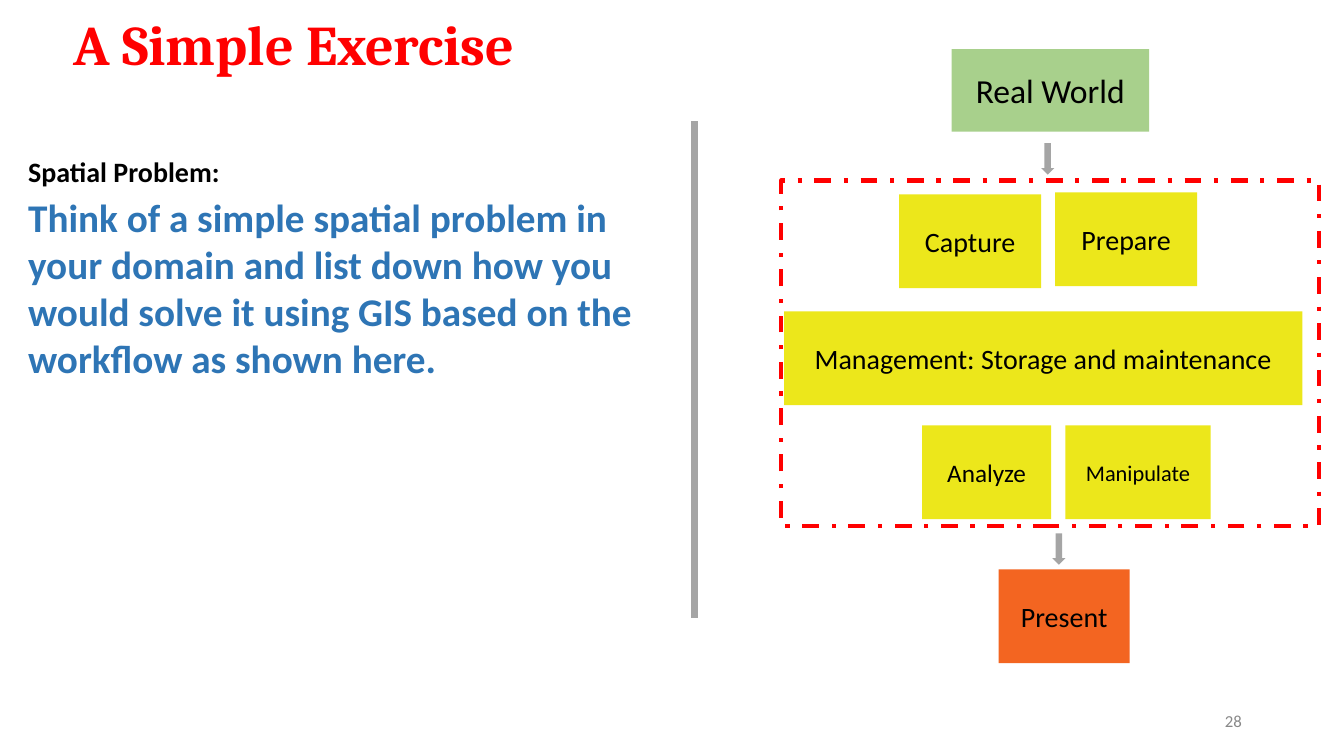
from lxml import etree
from pptx import Presentation
from pptx.dml.color import RGBColor
from pptx.enum.dml import MSO_LINE
from pptx.enum.shapes import MSO_CONNECTOR, MSO_SHAPE
from pptx.enum.text import MSO_ANCHOR, PP_ALIGN
from pptx.oxml.ns import qn
from pptx.util import Cm, Pt

RECT, DOWN_ARROW = MSO_SHAPE.RECTANGLE, MSO_SHAPE.DOWN_ARROW
STRAIGHT = MSO_CONNECTOR.STRAIGHT
DASH_DOT = MSO_LINE.DASH_DOT
LEFT, CENTER, RIGHT = PP_ALIGN.LEFT, PP_ALIGN.CENTER, PP_ALIGN.RIGHT
TOP, MIDDLE = MSO_ANCHOR.TOP, MSO_ANCHOR.MIDDLE

BLACK, RED, GRAY, PAGE_GRAY = "000000", "FF0000", "A5A5A5", "888888"
GREEN, YELLOW, ORANGE, BLUE = "A8D08C", "ECE71B", "F36521", "2E75B5"
STEP_H = 2.36


def rgb(value):
    return RGBColor.from_string(value)


class Deck:
    font = "Calibri"

    def __init__(self, width, height):
        self.prs = Presentation()
        self.prs.slide_width, self.prs.slide_height = Cm(width), Cm(height)
        self.s = self.prs.slides.add_slide(self.prs.slide_layouts[6])

    def add_label(self, sp, text, size, color=BLACK, bold=False, align=LEFT,
                  anchor=TOP, font=None, spacing=None):
        tf = sp.text_frame
        tf.word_wrap = True
        tf.vertical_anchor = anchor
        p = tf.paragraphs[0]
        p.alignment = align
        if spacing:
            p.line_spacing = spacing
        r = p.add_run()
        r.text = text
        r.font.name = font or self.font
        r.font.size = Pt(size)
        r.font.bold = bold
        r.font.color.rgb = rgb(color)

    def text(self, x, y, w, h, text, size, **style):
        sp = self.s.shapes.add_textbox(Cm(x), Cm(y), Cm(w), Cm(h))
        self.add_label(sp, text, size, **style)

    def shape(self, kind, x, y, w, h, fill):
        sp = self.s.shapes.add_shape(kind, Cm(x), Cm(y), Cm(w), Cm(h))
        sp.shadow.inherit = False
        sp.fill.solid()
        sp.fill.fore_color.rgb = rgb(fill)
        sp.line.fill.background()
        return sp

    def box(self, x, y, w, h, fill, text, size):
        sp = self.shape(RECT, x, y, w, h, fill)
        self.add_label(sp, text, size, align=CENTER, anchor=MIDDLE)

    def arrow(self, x, y):
        self.shape(DOWN_ARROW, x, y, 0.33, 0.79, GRAY)

    def frame(self, x, y, w, h, color, width):
        sp = self.shape(RECT, x, y, w, h, color)
        sp.fill.background()
        sp.line.color.rgb = rgb(color)
        sp.line.width = Pt(width)
        sp.line.dash_style = DASH_DOT

    def line(self, x1, y1, x2, y2, color, width):
        cn = self.s.shapes.add_connector(STRAIGHT, Cm(x1), Cm(y1), Cm(x2), Cm(y2))
        cn.line.color.rgb = rgb(color)
        cn.line.width = Pt(width)
        etree.SubElement(cn._element.spPr, qn("a:effectLst"))


def main():
    deck = Deck(33.87, 19.05)
    deck.text(0, 0, 14.81, 2.41, "A Simple Exercise", 40, color=RED, bold=True,
              align=CENTER, anchor=MIDDLE, font="Cambria", spacing=0.9)
    deck.line(17.5, 3.05, 17.5, 15.57, GRAY, 4.5)
    deck.text(23.93, 17.65, 7.62, 1.02, "28", 12, color=PAGE_GRAY,
              align=RIGHT, anchor=MIDDLE)

    deck.box(23.98, 1.24, 4.98, 2.08, GREEN, "Real World", 24)
    steps = [
        (22.66, 4.9, 3.58, YELLOW, "Capture", 20),
        (26.59, 4.85, 3.58, YELLOW, "Prepare", 20),
        (19.76, 7.85, 13.06, YELLOW, "Management: Storage and maintenance", 20),
        (23.24, 10.72, 3.25, YELLOW, "Analyze", 18),
        (26.85, 10.72, 3.66, YELLOW, "Manipulate", 16),
        (25.17, 14.35, 3.3, ORANGE, "Present", 20),
    ]
    for x, y, w, fill, label, size in steps:
        deck.box(x, y, w, STEP_H, fill, label, size)
    deck.frame(19.69, 4.55, 13.56, 8.71, RED, 3)
    for x, y in [(26.24, 3.61), (26.52, 13.44)]:
        deck.arrow(x, y)

    deck.text(0.46, 4.75, 17.07, 5.89,
              "Think of a simple spatial problem in your domain and list down how "
              "you would solve it using GIS based on the workflow as shown here.",
              28, color=BLUE, bold=True)
    deck.text(0.46, 3.76, 5.77, 1.12, "Spatial Problem:", 20, bold=True)
    deck.prs.save("out.pptx")


if __name__ == "__main__":
    main()
